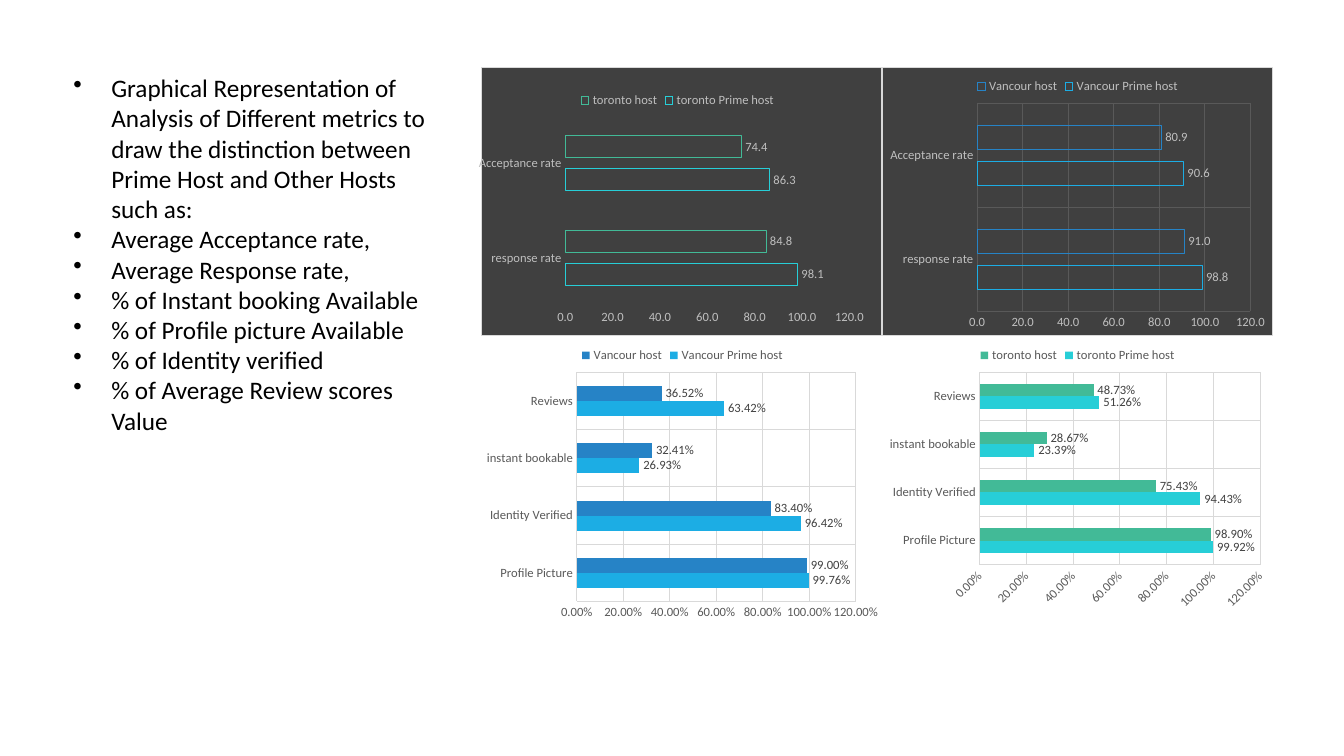
from lxml import etree
from pptx import Presentation
from pptx.chart.data import CategoryChartData
from pptx.dml.color import RGBColor
from pptx.enum.chart import XL_CHART_TYPE, XL_LABEL_POSITION, XL_LEGEND_POSITION, XL_TICK_MARK
from pptx.enum.text import MSO_AUTO_SIZE
from pptx.oxml import parse_xml
from pptx.oxml.ns import nsdecls, qn
from pptx.util import Pt

BLACK = RGBColor(0x00, 0x00, 0x00)
CHARCOAL = RGBColor(0x40, 0x40, 0x40)
DARK_GREY = RGBColor(0x59, 0x59, 0x59)
SILVER = RGBColor(0xBF, 0xBF, 0xBF)
PALE_GREY = RGBColor(0xD9, 0xD9, 0xD9)
GREEN = RGBColor(0x42, 0xBA, 0x97)
TURQUOISE = RGBColor(0x27, 0xCE, 0xD7)
BLUE = RGBColor(0x26, 0x83, 0xC6)
SKY = RGBColor(0x1C, 0xAD, 0xE4)

RATES = ["response rate", "Acceptance rate"]
SHARES = ["Profile Picture", "Identity Verified", "instant bookable", "Reviews"]
TORONTO = {"toronto Prime host": TURQUOISE, "toronto host": GREEN}
VANCOUVER = {"Vancour Prime host": SKY, "Vancour host": BLUE}

METRICS = [
    "Graphical Representation of Analysis of Different metrics to draw the "
    "distinction between Prime Host and Other Hosts such as:",
    "Average Acceptance rate,",
    "Average Response rate,",
    "% of Instant booking Available",
    "% of Profile picture Available",
    "% of Identity verified",
    "% of Average Review scores Value",
]

LEFT, MIDDLE, TOP, LOWER = 342, 630, 48.2, 240.5


class HostSlide:
    font_name = "Calibri"
    hairline = Pt(0.75)

    def __init__(self, slide):
        self.slide = slide

    def set_font(self, font, size, color):
        font.name, font.size = self.font_name, Pt(size)
        font.color.rgb = color

    def bullets(self, lines, left, top, width, height):
        box = self.slide.shapes.add_textbox(Pt(left), Pt(top), Pt(width), Pt(height))
        frame = box.text_frame
        frame.word_wrap = True
        frame.auto_size = MSO_AUTO_SIZE.SHAPE_TO_FIT_TEXT
        frame.text = "\n".join(lines)
        for paragraph in frame.paragraphs:
            self.set_font(paragraph.font, 18, BLACK)
            properties = paragraph._p.get_or_add_pPr()
            properties.set("marL", str(Pt(27)))
            properties.set("indent", str(Pt(-27)))
            bullet = parse_xml(f'<a:buChar {nsdecls("a")} char="•"/>')
            properties.find(qn("a:defRPr")).addprevious(bullet)

    def bar_chart(self, place, categories, colors, values, dark=False, grid=None):
        data = CategoryChartData(number_format="0.0" if dark else "0.00%")
        data.categories = categories
        for name, numbers in zip(colors, values):
            data.add_series(name, numbers)
        chart = self.slide.shapes.add_chart(
            XL_CHART_TYPE.BAR_CLUSTERED, *map(Pt, place), data).chart
        text_color = SILVER if dark else DARK_GREY
        self.set_font(chart.font, 10, BLACK)
        chart.has_title = False
        chart.has_legend = True
        chart.legend.position = XL_LEGEND_POSITION.TOP
        chart.legend.include_in_layout = False
        self.set_font(chart.legend.font, 9, text_color)
        self.background(chart, dark)
        self.axes(chart, text_color, dark, grid)
        self.bars(chart.plots[0], colors.values(), dark)
        return chart

    def background(self, chart, dark):
        if dark:
            fill = f'<a:solidFill><a:srgbClr val="{CHARCOAL}"/></a:solidFill>'
            line = f'<a:solidFill><a:srgbClr val="{PALE_GREY}"/></a:solidFill>'
        else:
            fill = line = "<a:noFill/>"
        chart._chartSpace.find(qn("c:chart")).addnext(parse_xml(
            f'<c:spPr {nsdecls("c", "a")}>{fill}<a:ln w="{self.hairline}">{line}</a:ln></c:spPr>'))

    def axes(self, chart, text_color, dark, grid):
        for axis in (chart.category_axis, chart.value_axis):
            axis.major_tick_mark = axis.minor_tick_mark = XL_TICK_MARK.NONE
            self.set_font(axis.tick_labels.font, 9, text_color)
            axis.format.line.fill.background()
            axis.has_major_gridlines = bool(grid) and (dark or axis is not chart.category_axis)
            if axis.has_major_gridlines:
                self.hair(axis.major_gridlines.format.line, grid)
        if not dark:
            self.hair(chart.category_axis.format.line, PALE_GREY)
        values = chart.value_axis
        values.minimum_scale = 0
        values.maximum_scale, values.major_unit = (120, 20) if dark else (1.2, 0.2)
        values.tick_labels.number_format = "0.0" if dark else "0.00%"
        values.tick_labels.number_format_is_linked = False

    def hair(self, line, color):
        line.color.rgb = color
        line.width = self.hairline

    def bars(self, plot, colors, dark):
        plot.vary_by_categories = False
        plot.gap_width = 182
        plot.overlap = -50 if dark else 0
        for bar, color in zip(plot.series, colors):
            bar.invert_if_negative = False
            if dark:
                bar.format.fill.background()
                self.hair(bar.format.line, color)
            else:
                bar.format.fill.solid()
                bar.format.fill.fore_color.rgb = color
            labels = bar.data_labels
            labels.show_value = True
            labels.position = XL_LABEL_POSITION.OUTSIDE_END
            labels.number_format = "0.0" if dark else "0.00%"
            labels.number_format_is_linked = False
            self.set_font(labels.font, 9, SILVER if dark else CHARCOAL)

    def arrange(self, part, inner=False, **fractions):
        """Fix a legend or plot area at fractions of the chart size."""
        for old in part.findall(qn("c:layout")):
            part.remove(old)
        layout = parse_xml(f'<c:layout {nsdecls("c")}><c:manualLayout/></c:layout>')
        manual = layout[0]
        settings = {"layoutTarget": "inner"} if inner else {}
        settings.update(xMode="edge", yMode="edge", **fractions)
        for tag, value in settings.items():
            etree.SubElement(manual, qn(f"c:{tag}")).set("val", str(value))
        if inner:
            part.insert(0, layout)
        else:
            part.find(qn("c:legendPos")).addnext(layout)


def main():
    deck = Presentation()
    deck.slide_width, deck.slide_height = Pt(960), Pt(540)
    page = HostSlide(deck.slides.add_slide(deck.slide_layouts[6]))

    toronto_rates = page.bar_chart((LEFT, TOP, 288, 191.5), RATES, TORONTO,
                                   [(98.1, 86.3), (84.8, 74.4)], dark=True)
    chart_body = toronto_rates._chartSpace.find(qn("c:chart"))
    page.arrange(chart_body.find(qn("c:plotArea")), inner=True, x=0.21, y=0.18, w=0.71, h=0.71)
    page.arrange(chart_body.find(qn("c:legend")), x=0.24, y=0.08)

    page.bar_chart((MIDDLE, TOP, 279.4, 191.5), RATES, VANCOUVER,
                   [(98.8, 90.6), (91.0, 80.9)], dark=True, grid=DARK_GREY)
    page.bar_chart((LEFT, LOWER, 290.9, 206.6), SHARES, VANCOUVER,
                   [(0.9976, 0.9642, 0.2693, 0.6342), (0.99, 0.834, 0.3241, 0.3652)],
                   grid=PALE_GREY)
    page.bar_chart((MIDDLE, LOWER, 279.4, 199.4), SHARES, TORONTO,
                   [(0.9992, 0.9443, 0.2339, 0.5126), (0.989, 0.7543, 0.2867, 0.4873)],
                   grid=PALE_GREY)
    page.bullets(METRICS, 45.4, TOP, 267.8, 290.9)
    deck.save("out.pptx")


if __name__ == "__main__":
    main()
